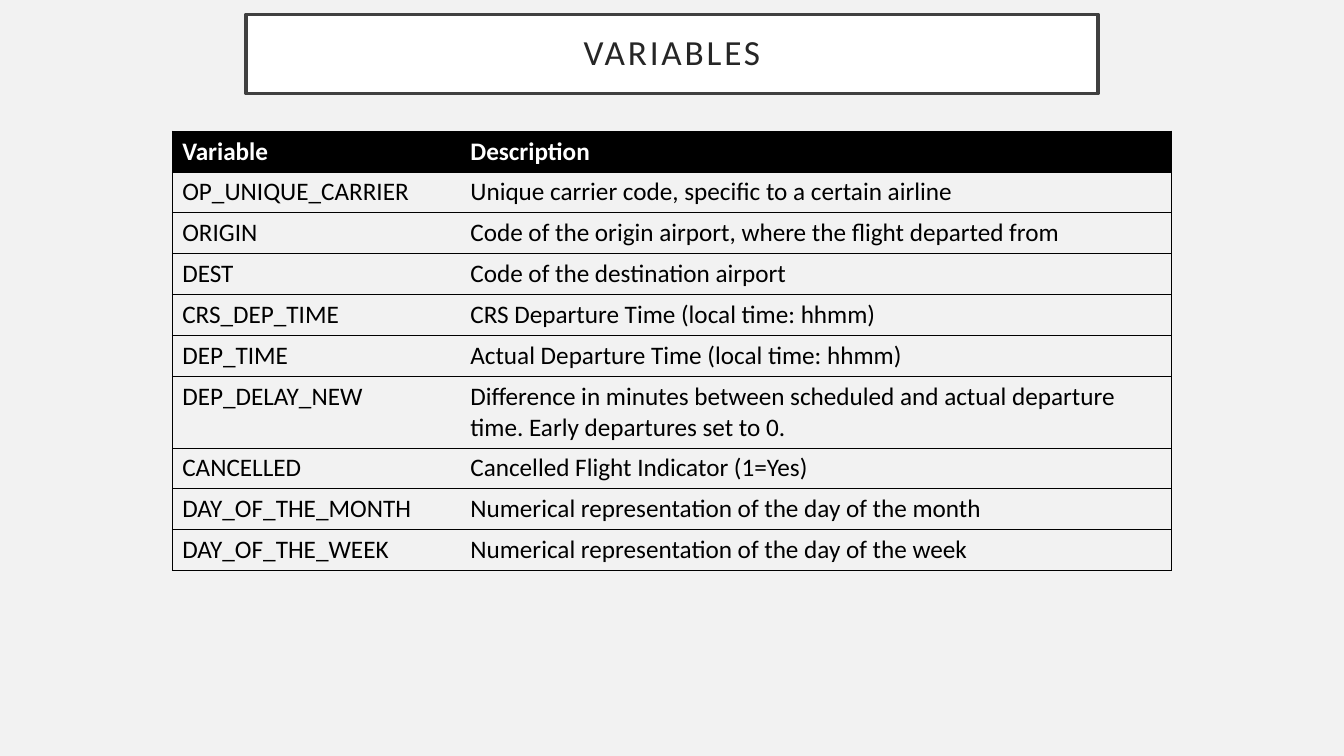
from lxml import etree
from pptx import Presentation
from pptx import util as u
from pptx.dml.color import RGBColor
from pptx.enum import shapes, text
from pptx.oxml.ns import qn


def paint(fill, tone):
    fill.solid()
    fill.fore_color.rgb = RGBColor.from_string(tone)


def style(run, tone, **form):
    paint(run.font.fill, tone)
    for key, val in {"name": "Calibri", **form}.items():
        setattr(run.font, key, val)


deck = Presentation()
deck.slide_width, deck.slide_height = u.Cm(33.87), u.Cm(19.05)
slide = deck.slides.add_slide(deck.slide_layouts[6])
paint(slide.background.fill, "F2F2F2")

# Title box
title = slide.shapes.add_shape(shapes.MSO_SHAPE.RECTANGLE, u.Cm(6.2),
                               u.Cm(0.36), u.Cm(21.47), u.Cm(2))
title.shadow.inherit = False
paint(title.fill, "FFFFFF")
paint(title.line.fill, "404040")
title.line.width = u.Pt(2.5)
frame = title.text_frame
pad = u.Cm(0.5)
form = {"margin_left": pad, "margin_right": pad, "margin_top": pad,
        "margin_bottom": pad, "word_wrap": True,
        "vertical_anchor": text.MSO_ANCHOR.MIDDLE}
for key, val in form.items():
    setattr(frame, key, val)
para = frame.paragraphs[0]
para.alignment = text.PP_ALIGN.CENTER
para.line_spacing = 0.9
run = para.add_run()
run.text = "VARIABLES"
style(run, "262626", size=u.Pt(25.2))
run.font._element.set("spc", "200")

# Table of variables
rows = [
    ("Variable", "Description"),
    ("OP_UNIQUE_CARRIER", "Unique carrier code, specific to a certain airline"),
    ("ORIGIN", "Code of the origin airport, where the flight departed from"),
    ("DEST", "Code of the destination airport"),
    ("CRS_DEP_TIME", "CRS Departure Time (local time: hhmm)"),
    ("DEP_TIME", "Actual Departure Time (local time: hhmm)"),
    ("DEP_DELAY_NEW", "Difference in minutes between scheduled and actual "
                      "departure time. Early departures set to 0."),
    ("CANCELLED", "Cancelled Flight Indicator (1=Yes)"),
    ("DAY_OF_THE_MONTH", "Numerical representation of the day of the month"),
    ("DAY_OF_THE_WEEK", "Numerical representation of the day of the week"),
]
high = 1.03
wide = [7.26, 17.91]
table = slide.shapes.add_table(len(rows), 2, u.Cm(4.34), u.Cm(3.3),
                               u.Cm(sum(wide)), u.Cm(high * len(rows))).table
table.first_row = table.horz_banding = False
for col, size in zip(table.columns, wide):
    col.width = u.Cm(size)

for r, row in enumerate(rows):
    table.rows[r].height = u.Cm(high)
    for c, words in enumerate(row):
        cell = table.cell(r, c)
        run = cell.text_frame.paragraphs[0].add_run()
        run.text = words
        style(run, "000000" if r else "FFFFFF", size=u.Pt(18), bold=r == 0)

        # Borders: all but the inner upright one
        props = cell._tc.get_or_add_tcPr()
        gap = "lnL" if c else "lnR"
        for side in ("lnL", "lnR", "lnT", "lnB"):
            edge = etree.SubElement(props, qn("a:" + side), w=str(u.Pt(0.5)))
            if side == gap:
                etree.SubElement(edge, qn("a:noFill"))
            else:
                ink = etree.SubElement(edge, qn("a:solidFill"))
                etree.SubElement(ink, qn("a:srgbClr"), val="000000")

        # Black header, clear body
        if r:
            cell.fill.background()
        else:
            paint(cell.fill, "000000")

deck.save("out.pptx")
